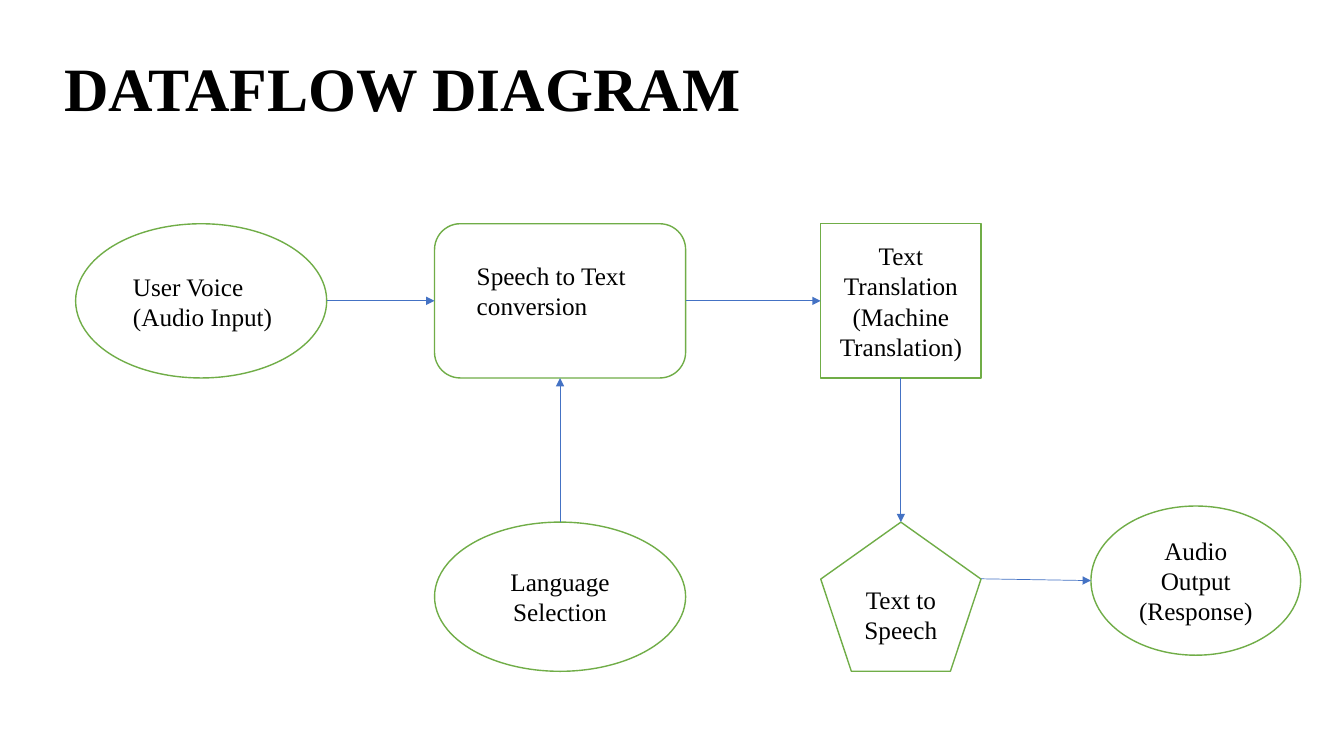
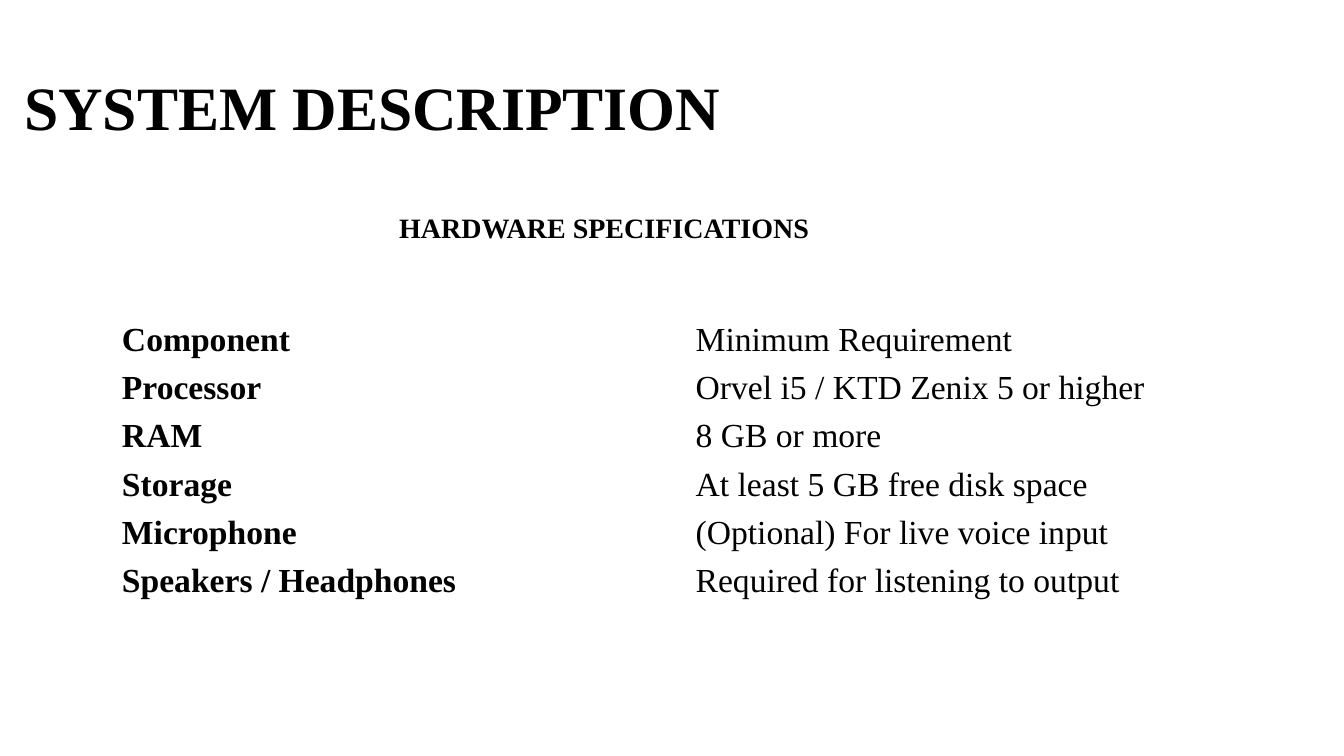
"""Build a dataflow diagram slide and a hardware specification slide."""
from dataclasses import dataclass

from lxml import etree
from pptx import Presentation
from pptx import util as u
from pptx.dml.color import RGBColor
from pptx.enum import shapes, text
from pptx.oxml import ns

KIND = shapes.MSO_SHAPE
ALIGN = text.PP_ALIGN
ANCHOR = text.MSO_ANCHOR


@dataclass(frozen=True)
class Theme:
    """Colours, font and sizes shared by the slides."""
    font: str = "Times New Roman"
    ink: str = "000000"
    paper: str = "FFFFFF"
    outline: str = "70AD47"
    arrow: str = "4472C4"
    title: float = 44
    table: float = 24
    heading: float = 20
    label: float = 18
    outline_width: float = 1
    arrow_width: float = 0.5


T = Theme()

TOP, RIGHT, BOTTOM, LEFT = (0.5, 0), (1, 0.5), (0.5, 1), (0, 0.5)
PENTAGON_RIGHT = (1, 0.38)

NODES = {
    "voice": (KIND.OVAL, (0.75, 2.22, 2.49, 1.53), []),
    "recognition": (KIND.ROUNDED_RECTANGLE, (4.31, 2.22, 2.49, 1.53), []),
    "language": (KIND.OVAL, (4.31, 5.18, 2.49, 1.48), ["Language Selection"]),
    "translation": (KIND.RECTANGLE, (8.14, 2.22, 1.59, 1.53),
                    ["Text Translation", "(Machine Translation)"]),
    "speech": (KIND.REGULAR_PENTAGON, (8.14, 5.18, 1.59, 1.48), ["Text to Speech"]),
    "output": (KIND.OVAL, (10.82, 5.02, 2.08, 1.48), ["Audio Output", "(Response)"]),
}

LABELS = [
    ((1.22, 2.64, 1.61, 0.71), ["User Voice", "(Audio Input)"]),
    ((4.63, 2.53, 2.01, 0.71), ["Speech to Text conversion"]),
]

FLOWS = [
    ("voice", RIGHT, "recognition", LEFT),
    ("language", TOP, "recognition", BOTTOM),
    ("recognition", RIGHT, "translation", LEFT),
    ("translation", BOTTOM, "speech", TOP),
    ("speech", PENTAGON_RIGHT, "output", LEFT),
]

SPECS = [
    ("Component", "Minimum Requirement"),
    ("Processor", "Orvel i5 / KTD Zenix 5 or higher"),
    ("RAM", "8 GB or more"),
    ("Storage", "At least 5 GB free disk space"),
    ("Microphone", "(Optional) For live voice input"),
    ("Speakers / Headphones", "Required for listening to output"),
]


def apply(obj, values):
    """Set each attribute in values on obj."""
    for name, value in values.items():
        setattr(obj, name, value)


def inches(box):
    """Convert a sequence of numbers to lengths."""
    return [u.Inches(v) for v in box]


def write(tf, lines, size, bold=False, **para):
    """Write one paragraph per line in the theme font."""
    for i, line in enumerate(lines):
        p = tf.paragraphs[0] if i == 0 else tf.add_paragraph()
        apply(p, para)
        r = p.add_run()
        r.text = line
        apply(r.font, {"name": T.font, "size": u.Pt(size), "bold": bold})
        r.font.color.rgb = RGBColor.from_string(T.ink)


def add_text(s, box, lines, size, bold=False, anchor=ANCHOR.TOP, **para):
    """Add a wrapping text box."""
    tf = s.shapes.add_textbox(*inches(box)).text_frame
    apply(tf, {"word_wrap": True, "vertical_anchor": anchor})
    write(tf, lines, size, bold, **para)


def add_title(s, box, title):
    """Add the slide title."""
    add_text(s, box, [title], T.title, True, ANCHOR.MIDDLE, line_spacing=0.9)


def add_node(s, kind, box, lines):
    """Add an outlined diagram node with centred text."""
    sp = s.shapes.add_shape(kind, *inches(box))
    sp.shadow.inherit = False
    sp.fill.solid()
    sp.fill.fore_color.rgb = RGBColor.from_string(T.paper)
    sp.line.color.rgb = RGBColor.from_string(T.outline)
    sp.line.width = u.Pt(T.outline_width)
    apply(sp.text_frame, {"word_wrap": True, "vertical_anchor": ANCHOR.MIDDLE})
    write(sp.text_frame, lines, T.label, alignment=ALIGN.CENTER)


def site(box, fraction):
    """Return the point at a fraction of a box's width and height."""
    x, y, w, h = box
    return x + w * fraction[0], y + h * fraction[1]


def add_arrow(s, start, end):
    """Add a straight arrow between two points."""
    cx = s.shapes.add_connector(shapes.MSO_CONNECTOR.STRAIGHT, *inches(start + end))
    cx.line.color.rgb = RGBColor.from_string(T.arrow)
    cx.line.width = u.Pt(T.arrow_width)
    etree.SubElement(cx.line._get_or_add_ln(), ns.qn("a:tailEnd"), type="triangle")
    etree.SubElement(cx._element.spPr, ns.qn("a:effectLst"))


def add_specs(s, box, widths, rows):
    """Add the plain table with bold component names."""
    tbl = s.shapes.add_table(len(rows), len(widths), *inches(box)).table
    apply(tbl, {"first_row": False, "horz_banding": False})
    for col, width in zip(tbl.columns, widths):
        col.width = u.Inches(width)
    margin = u.Inches(0.04)
    for i, row in enumerate(rows):
        for j, value in enumerate(row):
            cell = tbl.cell(i, j)
            cell.fill.background()
            apply(cell, {"margin_top": margin, "margin_bottom": margin,
                         "vertical_anchor": ANCHOR.MIDDLE})
            write(cell.text_frame, [value], T.table, bold=j == 0)


def dataflow_slide(s):
    """Draw the dataflow diagram."""
    add_title(s, (0.54, 0.53, 11.5, 0.75), "DATAFLOW DIAGRAM")
    for node in NODES.values():
        add_node(s, *node)
    for box, lines in LABELS:
        add_text(s, box, lines, T.label)
    for source, out, target, into in FLOWS:
        add_arrow(s, site(NODES[source][1], out), site(NODES[target][1], into))


def system_slide(s):
    """Draw the hardware specifications."""
    add_title(s, (0.14, 0.37, 11.5, 1.45), "SYSTEM DESCRIPTION")
    add_specs(s, (1.11, 3.13, 11.11, 2.81), (5.69, 5.42), SPECS)
    add_text(s, (3.86, 2.04, 4.56, 0.44), ["HARDWARE SPECIFICATIONS"], T.heading, True)


def main():
    """Build and save the presentation."""
    prs = Presentation()
    apply(prs, {"slide_width": u.Inches(13.33), "slide_height": u.Inches(7.5)})
    for build in (dataflow_slide, system_slide):
        build(prs.slides.add_slide(prs.slide_layouts[6]))
    prs.save("out.pptx")


if __name__ == "__main__":
    main()
